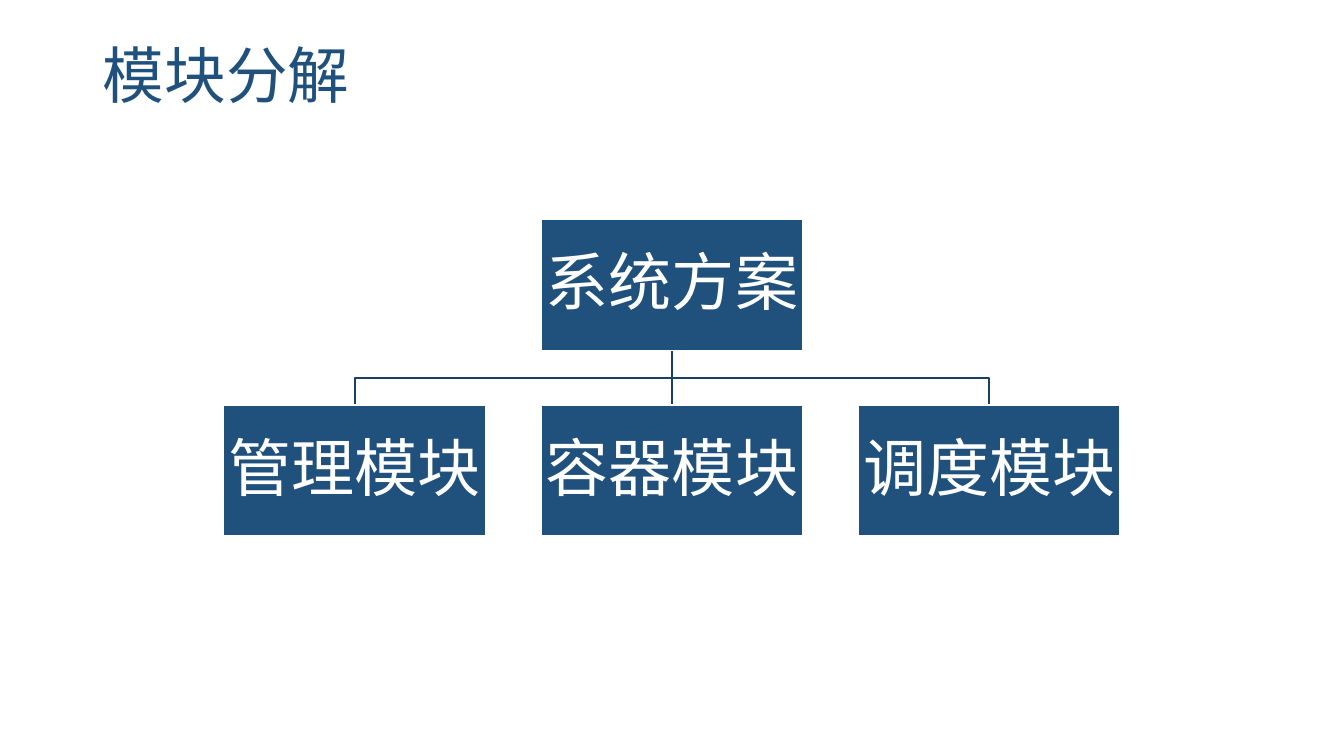
from dataclasses import dataclass
from lxml.etree import SubElement
from pptx import Presentation
from pptx.dml.color import RGBColor
from pptx.enum.shapes import MSO_CONNECTOR, MSO_SHAPE
from pptx.enum.text import MSO_ANCHOR, PP_ALIGN
from pptx.oxml.ns import qn
from pptx.util import Inches, Pt

TITLE = "模块分解"
ROOT = "系统方案"
PARTS = ["管理模块", "容器模块", "调度模块"]


@dataclass(frozen=True)
class Theme:
    font: str = "Noto Sans CJK SC"
    blue: RGBColor = RGBColor(0x20, 0x51, 0x7C)
    dark: RGBColor = RGBColor(0x1A, 0x41, 0x63)
    white: RGBColor = RGBColor(0xFF, 0xFF, 0xFF)
    head: int = 44
    body: int = 45
    line: int = 1


theme = Theme()
WIDE, HIGH = 13.33, 7.5
BOX_W, BOX_H = 2.6, 1.3
STEP = 3.145
MID = WIDE / 2
ROOT_Y, PART_Y = 2.18, 4.02


def style(frame, size, color, align):
    para = frame.paragraphs[0]
    para.alignment = align
    para.line_spacing = 0.9
    run = para.runs[0]
    run.font.size = Pt(size)
    run.font.name = theme.font
    run.font.color.rgb = color
    SubElement(run._r.get_or_add_rPr(), qn("a:ea"), typeface=theme.font)


def add_box(slide, text, mid, top):
    box = slide.shapes.add_shape(
        MSO_SHAPE.RECTANGLE, Inches(mid - BOX_W / 2), Inches(top),
        Inches(BOX_W), Inches(BOX_H))
    box.shadow.inherit = False
    box.fill.solid()
    box.fill.fore_color.rgb = theme.blue
    box.line.color.rgb = theme.white
    box.line.width = Pt(theme.line)
    frame = box.text_frame
    frame.word_wrap = True
    frame.vertical_anchor = MSO_ANCHOR.MIDDLE
    frame.margin_left = frame.margin_right = Inches(0.03)
    frame.margin_top = frame.margin_bottom = Inches(0.03)
    frame.text = text
    style(frame, theme.body, theme.white, PP_ALIGN.CENTER)


def add_link(slide, mid):
    start, end = ROOT_Y + BOX_H, PART_Y
    if mid == MID:
        link = slide.shapes.add_connector(
            MSO_CONNECTOR.STRAIGHT, Inches(MID), Inches(start),
            Inches(MID), Inches(end))
        SubElement(link._element.spPr, qn("a:effectLst"))
    else:
        bend = (start + end) / 2
        path = [(MID, bend), (mid, bend), (mid, end)]
        form = slide.shapes.build_freeform(Inches(MID), Inches(start))
        form.add_line_segments(
            [(Inches(x), Inches(y)) for x, y in path], close=False)
        link = form.convert_to_shape()
        link.shadow.inherit = False
        link.fill.background()
    link.line.color.rgb = theme.dark
    link.line.width = Pt(theme.line)


def main():
    deck = Presentation()
    deck.slide_width, deck.slide_height = Inches(WIDE), Inches(HIGH)
    slide = deck.slides.add_slide(deck.slide_layouts[5])
    title = slide.shapes.title
    title.left, title.top = Inches(0.92), Inches(0.4)
    title.width, title.height = Inches(11.5), Inches(1.45)
    title.text_frame.text = TITLE
    title.text_frame.vertical_anchor = MSO_ANCHOR.TOP
    style(title.text_frame, theme.head, theme.blue, PP_ALIGN.LEFT)

    mids = [MID + (i - (len(PARTS) - 1) / 2) * STEP
            for i in range(len(PARTS))]
    for mid in mids:
        add_link(slide, mid)
    add_box(slide, ROOT, MID, ROOT_Y)
    for text, mid in zip(PARTS, mids):
        add_box(slide, text, mid, PART_Y)
    deck.save("out.pptx")


if __name__ == "__main__":
    main()
